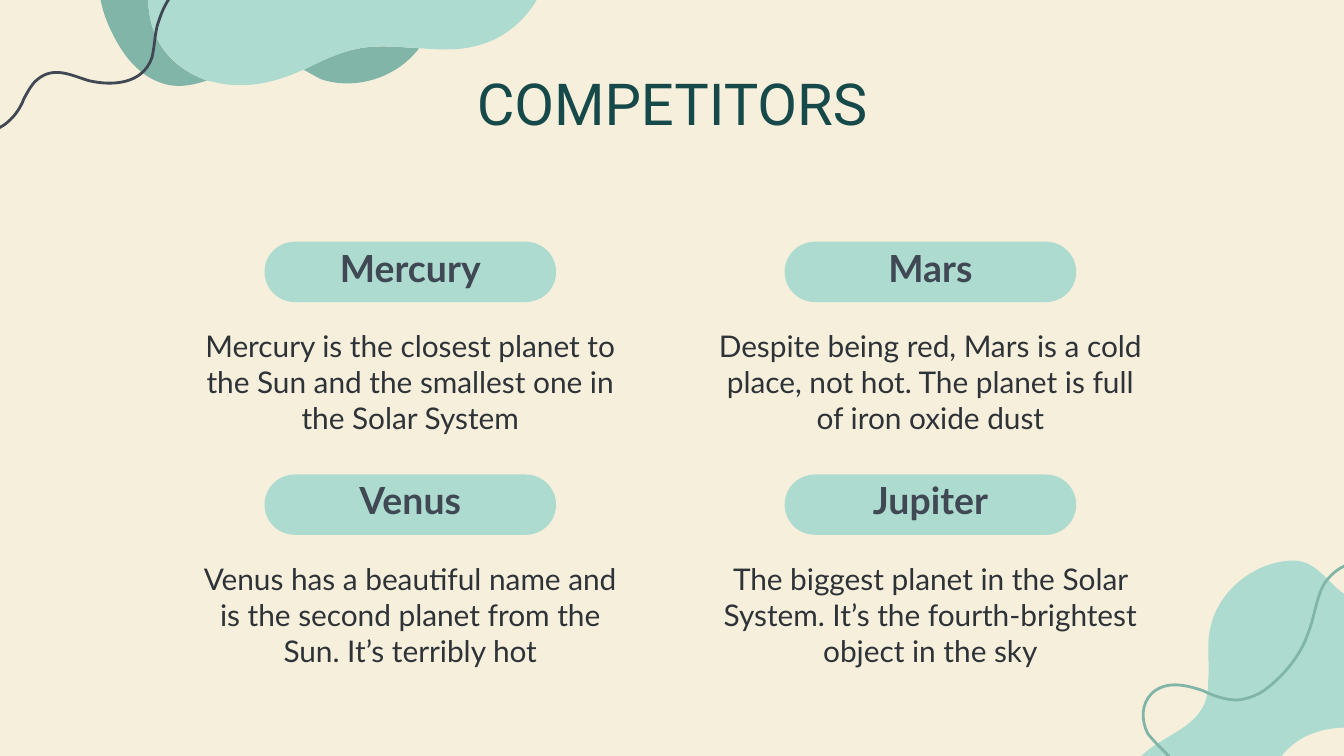
import dataclasses

import lxml.etree
import pptx
import pptx.dml.color
import pptx.enum.shapes
import pptx.enum.text
import pptx.oxml.ns
import pptx.util

Cm = pptx.util.Cm
qn = pptx.oxml.ns.qn


@dataclasses.dataclass(frozen=True)
class Theme:
    background: str = "F6EFDC"
    mint: str = "ADDBD0"
    sage: str = "81B5A8"
    slate: str = "3F4853"
    ink: str = "2E3338"
    title: str = "164A4A"
    title_font: str = "Roboto"
    text_font: str = "Lato"
    title_size: int = 31
    heading_size: int = 20
    body_size: int = 16
    curve_width: float = 1.5


theme = Theme()
color = pptx.dml.color.RGBColor.from_string
anchors = pptx.enum.text.MSO_ANCHOR


def draw_curve(slide, points, closed):
    builder = slide.shapes.build_freeform(*points[0], scale=Cm(2.54) / 100)
    builder.add_line_segments(points[1:], close=closed)
    shape = builder.convert_to_shape()
    shape.shadow.inherit = False
    outline = shape._element.spPr.find(".//" + qn("a:path"))
    segments = outline.findall(qn("a:lnTo"))
    for index in range(0, len(segments) - 2, 3):
        curve = lxml.etree.Element(qn("a:cubicBezTo"))
        segments[index].addprevious(curve)
        for segment in segments[index:index + 3]:
            curve.append(segment[0])
            outline.remove(segment)
    return shape


def write_text(shape, text, size, font, text_color, bold=False, spacing=1.0, anchor=anchors.TOP):
    frame = shape.text_frame
    frame.word_wrap = True
    frame.auto_size = pptx.enum.text.MSO_AUTO_SIZE.NONE
    frame.vertical_anchor = anchor
    frame.margin_left = frame.margin_top = frame.margin_right = frame.margin_bottom = 0
    paragraph = frame.paragraphs[0]
    properties = paragraph._p.get_or_add_pPr()
    properties.set("marL", "0")
    properties.set("indent", "0")
    lxml.etree.SubElement(properties, qn("a:buNone"))
    paragraph.alignment = pptx.enum.text.PP_ALIGN.CENTER
    paragraph.line_spacing = spacing
    paragraph.space_before = pptx.util.Pt(0)
    run = paragraph.add_run()
    run.text = text
    run.font.name = font
    run.font.size = pptx.util.Pt(size)
    run.font.bold = bold
    run.font.color.rgb = color(text_color)


presentation = pptx.Presentation()
presentation.slide_width = Cm(25.4)
presentation.slide_height = Cm(14.29)
comparison_layout = presentation.slide_layouts[4]
slide = presentation.slides.add_slide(comparison_layout)
slide.background.fill.solid()
slide.background.fill.fore_color.rgb = color(theme.background)

blobs = [
    (theme.sage, [
        (74, -7), (75, 7), (81, 21), (88, 33), (95, 45), (105, 56), (118, 61),
        (130, 66), (142, 64), (154, 60), (137, 54), (123, 43), (116, 27),
        (111, 16), (110, 4), (110, -7)]),
    (theme.sage, [
        (263, 37), (250, 40), (238, 46), (226, 52), (230, 54), (235, 57), (239, 59),
        (257, 65), (278, 62), (294, 52), (301, 48), (307, 42), (312, 36),
        (296, 35), (279, 33), (263, 37)]),
    (theme.mint, [
        (110, -7), (110, 4), (111, 16), (116, 27), (123, 42), (137, 54), (154, 60),
        (155, 60), (157, 61), (159, 61), (178, 66), (198, 63), (216, 56),
        (219, 55), (223, 53), (226, 52), (238, 46), (250, 40), (263, 37),
        (279, 33), (296, 35), (313, 36), (327, 37), (341, 38), (355, 34),
        (376, 29), (394, 13), (403, -7)]),
    (theme.mint, [
        (1130, 483), (1130, 475), (1128, 467), (1123, 461), (1093, 417), (1031, 471), (995, 438),
        (978, 422), (973, 412), (945, 420), (923, 427), (904, 446), (900, 470),
        (898, 482), (900, 494), (899, 507), (899, 514), (898, 522), (894, 528),
        (882, 547), (854, 551), (843, 571), (831, 592), (850, 621), (874, 625),
        (898, 629), (922, 614), (935, 593), (944, 580), (949, 565), (961, 555),
        (976, 542), (997, 540), (1017, 542), (1020, 542), (1022, 542), (1025, 543),
        (1048, 545), (1071, 550), (1092, 542), (1116, 533), (1132, 507), (1130, 483)]),
]
for blob_color, points in blobs:
    blob = draw_curve(slide, points, True)
    blob.fill.solid()
    blob.fill.fore_color.rgb = color(blob_color)
    blob.line.fill.background()

strands = [
    (theme.sage, [
        (1057, 433), (1044, 426), (1031, 418), (1015, 418), (1003, 418), (992, 424), (985, 435),
        (979, 446), (978, 460), (973, 472), (968, 487), (956, 502), (943, 512),
        (937, 517), (929, 520), (921, 521), (912, 521), (903, 518), (895, 514),
        (883, 510), (868, 506), (857, 516), (849, 524), (849, 536), (854, 546),
        (858, 551), (862, 555), (867, 560), (873, 566), (877, 573), (880, 581),
        (884, 592), (884, 604), (880, 615)]),
    (theme.slate, [
        (152, -26), (140, -19), (131, -10), (124, 2), (121, 7), (119, 13), (117, 19),
        (115, 27), (115, 35), (113, 43), (106, 63), (83, 64), (66, 60),
        (53, 56), (40, 49), (28, 59), (23, 63), (21, 68), (18, 73),
        (15, 81), (10, 88), (3, 93), (-13, 104), (-28, 93), (-42, 85),
        (-67, 70), (-98, 76), (-115, 98), (-118, 103), (-121, 108), (-123, 113)]),
]
for strand_color, points in strands:
    strand = draw_curve(slide, points, False)
    strand.fill.background()
    strand.line.color.rgb = color(strand_color)
    strand.line.width = pptx.util.Pt(theme.curve_width)

title = slide.shapes.title
title.left, title.top, title.width, title.height = Cm(1.98), Cm(1.3), Cm(21.44), Cm(1.27)
write_text(title, "COMPETITORS", theme.title_size, theme.title_font, theme.title,
           anchor=anchors.MIDDLE)

competitors = [
    ("Mercury", "Mercury is the closest planet to the Sun and the smallest one in the Solar System"),
    ("Mars", "Despite being red, Mars is a cold place, not hot. The planet is full of iron oxide dust"),
    ("Venus", "Venus has a beautiful name and is the second planet from the Sun. It’s terribly hot"),
    ("Jupiter", "The biggest planet in the Solar System. It’s the fourth-brightest object in the sky"),
]
descriptions = list(slide.placeholders)[1:]
for index, (name, text) in enumerate(competitors):
    row, column = divmod(index, 2)
    left = Cm(3.73 + 9.83 * column)
    top = Cm(4.57 + 4.4 * row)
    width = Cm(8.05)

    pill = slide.shapes.add_shape(pptx.enum.shapes.MSO_SHAPE.ROUNDED_RECTANGLE,
                                  left + Cm(1.27), top, Cm(5.51), Cm(1.14))
    pill.adjustments[0] = 0.5
    pill.shadow.inherit = False
    pill.fill.solid()
    pill.fill.fore_color.rgb = color(theme.mint)
    pill.line.fill.background()

    heading = slide.shapes.add_textbox(left, top + Cm(0.18), width, Cm(0.76))
    write_text(heading, name, theme.heading_size, theme.text_font, theme.slate,
               bold=True, spacing=0.8, anchor=anchors.MIDDLE)

    description = descriptions[index]
    description.left, description.top = left, top + Cm(1.63)
    description.width, description.height = width, Cm(2.11)
    write_text(description, text, theme.body_size, theme.text_font, theme.ink)

presentation.save("out.pptx")
